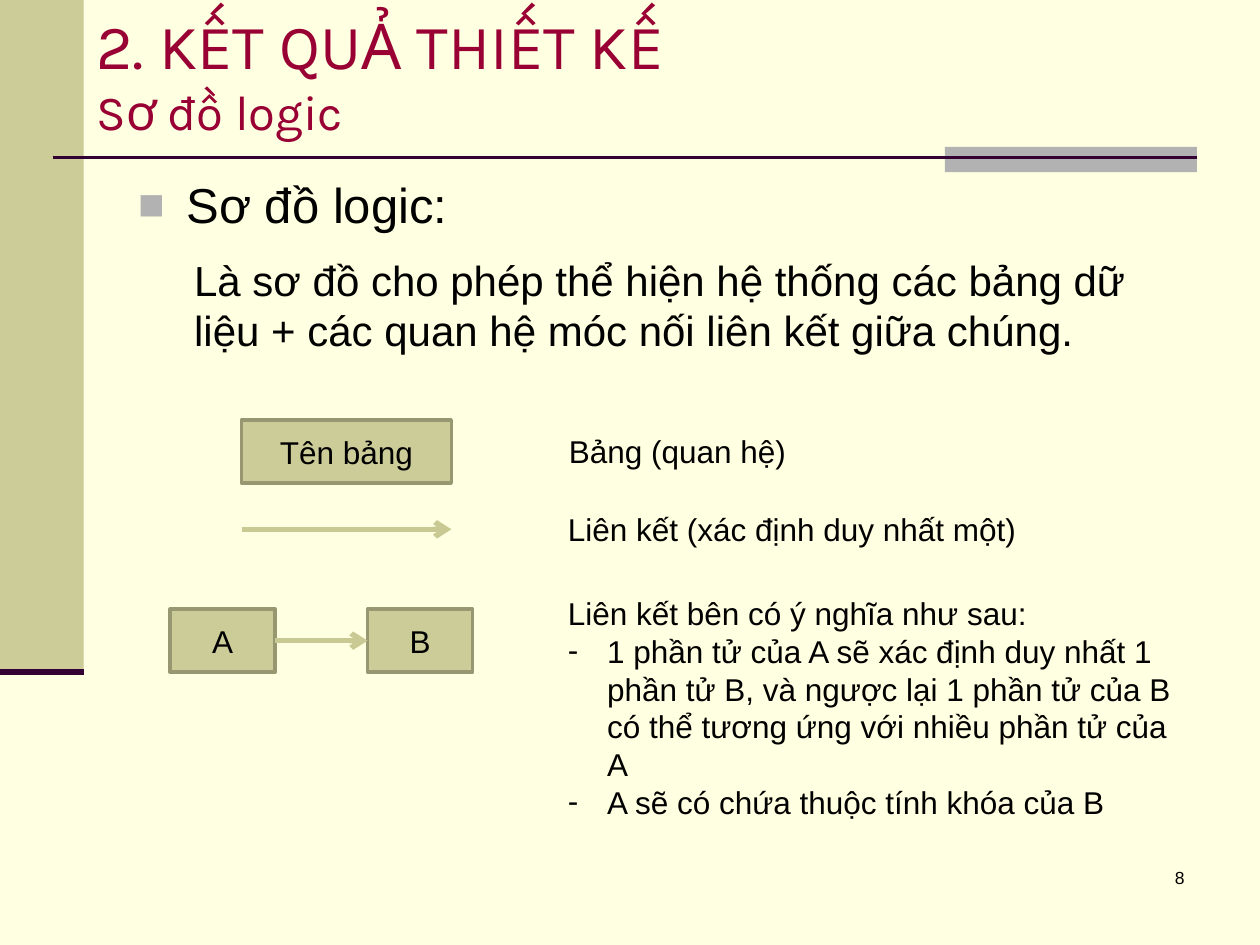
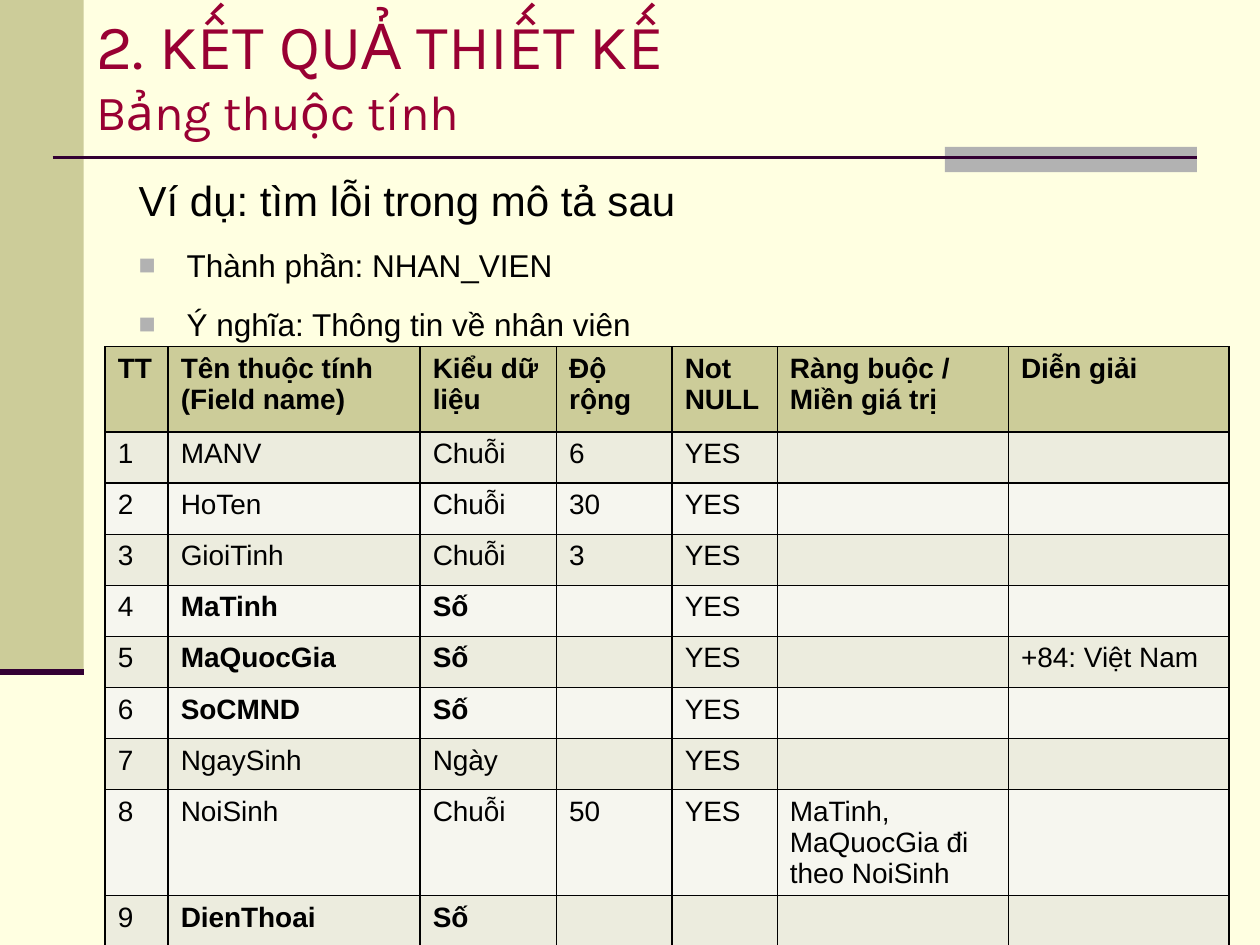
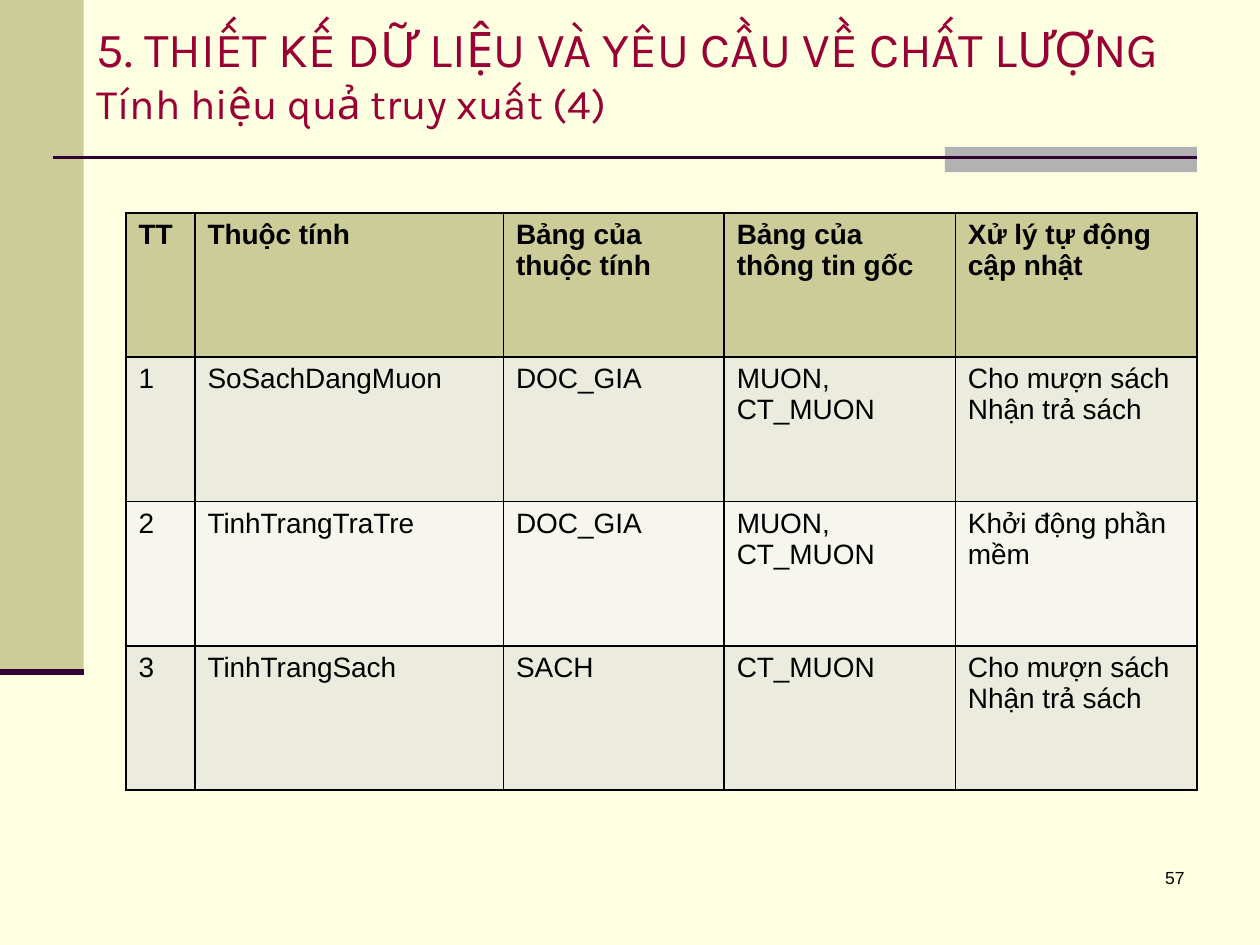
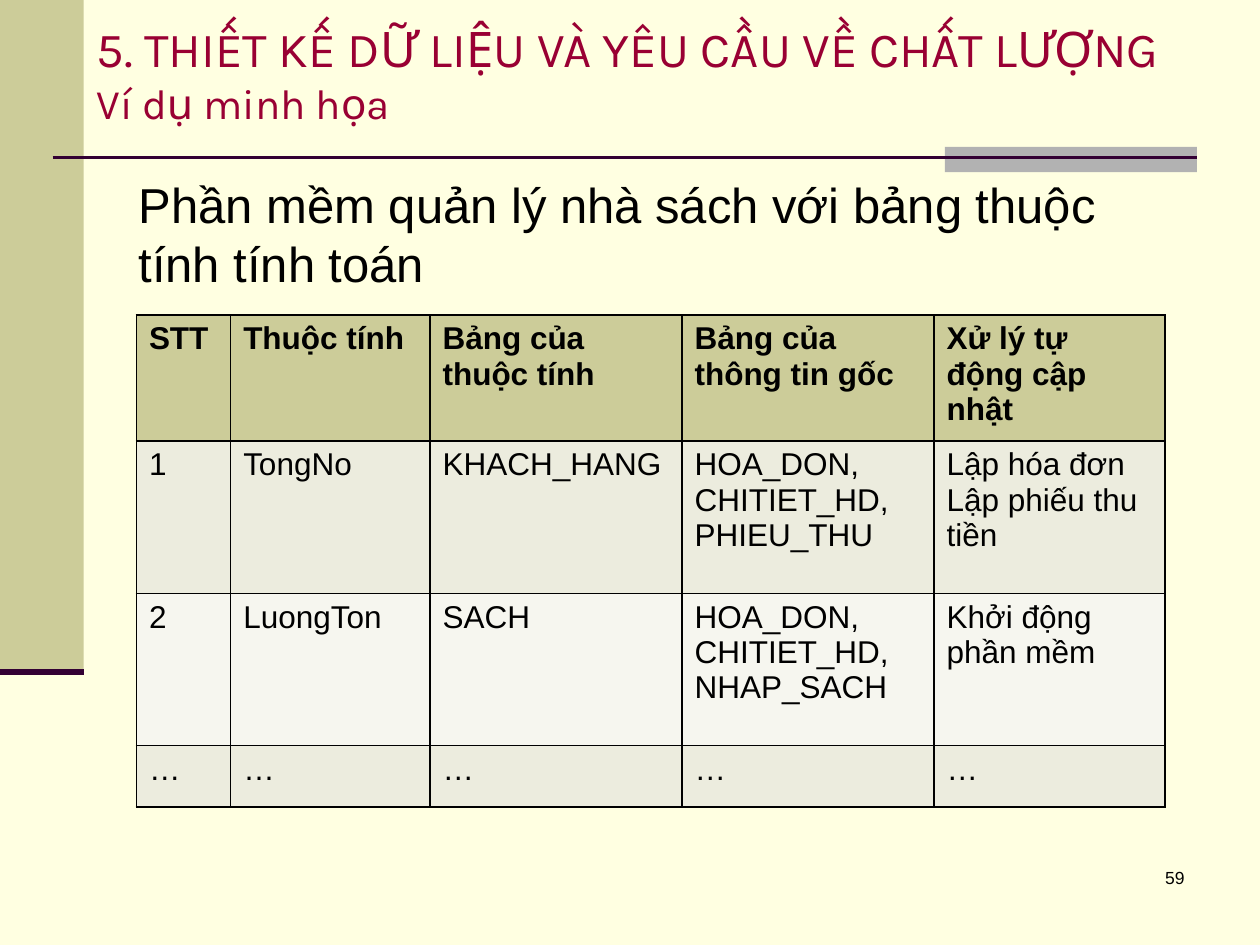
from dataclasses import dataclass
from typing import Optional

from lxml.etree import SubElement
from pptx import Presentation
from pptx.dml.color import RGBColor
from pptx.enum.shapes import MSO_CONNECTOR, MSO_SHAPE
from pptx.enum.text import MSO_ANCHOR as Anchor, MSO_AUTO_SIZE as AutoSize, PP_ALIGN as Align
from pptx.oxml.ns import qn
from pptx.util import Cm, Pt

CREAM = RGBColor(0xFF, 0xFF, 0xE1)
OLIVE = RGBColor(0xCC, 0xCC, 0x99)
OLIVE_EDGE = RGBColor(0x97, 0x97, 0x71)
OLIVE_ARROW = RGBColor(0xC9, 0xC9, 0x94)
ROW_ODD = RGBColor(0xEC, 0xEC, 0xDE)
ROW_EVEN = RGBColor(0xF6, 0xF6, 0xEF)
GREY = RGBColor(0xB2, 0xB2, 0xB2)
PLUM = RGBColor(0x33, 0x00, 0x33)
CRIMSON = RGBColor(0x99, 0x00, 0x33)
BLACK = RGBColor(0x00, 0x00, 0x00)

TITLE_FONT = "Karla"
TEXT_FONT = "Arial"
TITLE_AND_BODY, TITLE_ONLY = 1, 5


@dataclass(frozen=True)
class Area:
    left: float
    top: float
    width: float
    height: float

    def lengths(self) -> tuple:
        return Cm(self.left), Cm(self.top), Cm(self.width), Cm(self.height)


@dataclass(frozen=True)
class Bullet:
    symbol: str
    indent: float
    color: Optional[RGBColor] = None
    percent: int = 100


@dataclass(frozen=True)
class Item:
    text: str
    size: int
    bullet: Optional[Bullet] = None
    level: int = 0
    indent: float = 0


@dataclass(frozen=True)
class Heading:
    main: str
    sub: str
    main_size: int
    sub_size: int


@dataclass(frozen=True)
class Grid:
    left: float
    top: float
    columns: tuple
    heights: tuple
    size: int
    rows: tuple
    bold_rows: tuple = ()
    bold_columns: tuple = ()


SQUARE = Bullet("■", 0.97, GREY, 90)
DASH = Bullet("-", 0.79)

TITLE_AREA = Area(1.69, 0, 23.71, 2.96)
BODY_AREA = Area(2.54, 3.39, 21.59, 13.2)
NUMBER_AREA = Area(18.84, 17.36, 5.29, 1.27)

DESIGN = "2. KẾT QUẢ THIẾT KẾ"
QUALITY = "5. THIẾT KẾ DỮ LIỆU VÀ YÊU CẦU VỀ CHẤT LƯỢNG"

FIELD_GRID = Grid(
    2.12, 6.99,
    (1.27, 5.08, 2.75, 2.33, 2.12, 4.66, 4.45),
    (1.72,) + (1.02,) * 7 + (1.98, 1.02),
    16,
    (
        ("TT", "Tên thuộc tính (Field name)", "Kiểu dữ liệu", "Độ rộng", "Not NULL",
         "Ràng buộc / Miền giá trị", "Diễn giải"),
        ("1", "MANV", "Chuỗi", "6", "YES", "", ""),
        ("2", "HoTen", "Chuỗi", "30", "YES", "", ""),
        ("3", "GioiTinh", "Chuỗi", "3", "YES", "", ""),
        ("4", "MaTinh", "Số", "", "YES", "", ""),
        ("5", "MaQuocGia", "Số", "", "YES", "", "+84: Việt Nam"),
        ("6", "SoCMND", "Số", "", "YES", "", ""),
        ("7", "NgaySinh", "Ngày", "", "YES", "", ""),
        ("8", "NoiSinh", "Chuỗi", "50", "YES", "MaTinh, MaQuocGia đi theo NoiSinh", ""),
        ("9", "DienThoai", "Số", "", "", "", ""),
    ),
    bold_rows=(4, 5, 6, 9),
    bold_columns=(1, 2),
)

COMPUTED_HEADER = ("Thuộc tính", "Bảng của thuộc tính", "Bảng của thông tin gốc",
                   "Xử lý tự động cập nhật")

LIBRARY_GRID = Grid(
    2.54, 4.29,
    (1.39, 6.22, 4.45, 4.66, 4.87),
    (2.91,) * 4,
    16,
    (
        ("TT",) + COMPUTED_HEADER,
        ("1", "SoSachDangMuon", "DOC_GIA", "MUON, CT_MUON", "Cho mượn sách\nNhận trả sách"),
        ("2", "TinhTrangTraTre", "DOC_GIA", "MUON, CT_MUON", "Khởi động phần mềm"),
        ("3", "TinhTrangSach", "SACH", "CT_MUON", "Cho mượn sách\nNhận trả sách"),
    ),
)

BOOKSHOP_GRID = Grid(
    2.75, 6.35,
    (1.9, 4.02, 5.08, 5.08, 4.66),
    (2.16, 3.07, 3.07, 1.24),
    18,
    (
        ("STT",) + COMPUTED_HEADER,
        ("1", "TongNo", "KHACH_HANG", "HOA_DON, CHITIET_HD,\nPHIEU_THU",
         "Lập hóa đơn\nLập phiếu thu tiền"),
        ("2", "LuongTon", "SACH", "HOA_DON, CHITIET_HD, NHAP_SACH", "Khởi động phần mềm"),
        ("…",) * 5,
    ),
)


def add_span(para, text: str, size: int, color: RGBColor = BLACK,
             font: str = TEXT_FONT, bold: bool = False) -> None:
    span = para.add_run()
    span.text = text
    span.font.name = font
    span.font.size = Pt(size)
    span.font.bold = bold
    span.font.color.rgb = color


def set_bullet(para, bullet: Optional[Bullet], indent: float) -> None:
    properties = para._p.get_or_add_pPr()
    if bullet is None:
        properties.set("marL", str(Cm(indent)))
        properties.set("indent", "0")
        SubElement(properties, qn("a:buNone"))
        return
    properties.set("marL", str(Cm(bullet.indent)))
    properties.set("indent", str(-Cm(bullet.indent)))
    if bullet.color is not None:
        color = SubElement(properties, qn("a:buClr"))
        SubElement(color, qn("a:srgbClr"), val=str(bullet.color))
    SubElement(properties, qn("a:buSzPct"), val=str(bullet.percent * 1000))
    SubElement(properties, qn("a:buFont"), typeface=TEXT_FONT)
    SubElement(properties, qn("a:buChar"), char=bullet.symbol)


def write_items(frame, items: tuple, gap: int = 0) -> None:
    frame.word_wrap = True
    for index, item in enumerate(items):
        para = frame.add_paragraph() if index else frame.paragraphs[0]
        para.level = item.level
        para.space_before = Pt(gap if index else 0)
        para.space_after = Pt(gap)
        set_bullet(para, item.bullet, item.indent)
        add_span(para, item.text, item.size)


def place(shape, area: Area) -> None:
    shape.left, shape.top, shape.width, shape.height = area.lengths()


def add_slide(deck, layout: int, heading: Heading):
    page = deck.slides.add_slide(deck.slide_layouts[layout])
    title = page.shapes.title
    place(title, TITLE_AREA)
    frame = title.text_frame
    frame.auto_size = AutoSize.NONE
    frame.vertical_anchor = Anchor.MIDDLE
    para = frame.paragraphs[0]
    para.alignment = Align.LEFT
    add_span(para, heading.main, heading.main_size, CRIMSON, TITLE_FONT)
    para.add_line_break()
    line_break = title.element.xpath(".//a:br")[0]
    SubElement(line_break, qn("a:rPr"), sz=str(heading.main_size * 100))
    add_span(para, heading.sub, heading.sub_size, CRIMSON, TITLE_FONT)
    return page


def fill_body(page, *items: Item) -> None:
    body = page.placeholders[1]
    place(body, BODY_AREA)
    body.text_frame.auto_size = AutoSize.NONE
    body.text_frame.vertical_anchor = Anchor.TOP
    write_items(body.text_frame, items, gap=6)


def add_text(page, area: Area, *items: Item):
    box = page.shapes.add_textbox(*area.lengths())
    write_items(box.text_frame, items)
    return box


def add_number(page, number: int) -> None:
    box = add_text(page, NUMBER_AREA, Item(str(number), 10))
    box.text_frame.paragraphs[0].alignment = Align.RIGHT


def add_block(page, area: Area, fill: RGBColor):
    block = page.shapes.add_shape(MSO_SHAPE.RECTANGLE, *area.lengths())
    block.shadow.inherit = False
    block.fill.solid()
    block.fill.fore_color.rgb = fill
    block.line.fill.background()
    return block


def add_entity(page, area: Area, name: str):
    entity = add_block(page, area, OLIVE)
    entity.line.color.rgb = OLIVE_EDGE
    entity.line.width = Pt(2)
    frame = entity.text_frame
    frame.vertical_anchor = Anchor.MIDDLE
    frame.paragraphs[0].alignment = Align.CENTER
    add_span(frame.paragraphs[0], name, 18)
    return entity


def add_line(page, left: float, right: float, top: float, color: RGBColor, width: float):
    line = page.shapes.add_connector(
        MSO_CONNECTOR.STRAIGHT, Cm(left), Cm(top), Cm(right), Cm(top))
    line.line.color.rgb = color
    line.line.width = Pt(width)
    SubElement(line.element.spPr, qn("a:effectLst"))
    return line


def add_arrow(page, left: float, right: float, top: float):
    arrow = add_line(page, left, right, top, OLIVE_ARROW, 3)
    SubElement(arrow.line._get_or_add_ln(), qn("a:tailEnd"), type="arrow")
    return arrow


def decorate_master(deck, page) -> None:
    master = deck.slide_master
    master.background.fill.solid()
    master.background.fill.fore_color.rgb = CREAM
    decorations = (
        add_block(page, Area(0, 0, 1.69, 13.55), OLIVE),
        add_block(page, Area(19.05, 2.96, 5.08, 0.51), GREY),
        add_line(page, 1.06, 24.13, 3.17, PLUM, 1.5),
        add_line(page, 0, 1.69, 13.55, PLUM, 3.5),
    )
    for index, shape in enumerate(decorations):
        shape.element.xpath(".//p:cNvPr")[0].set("id", str(100 + index))
        master.shapes.element.insert(2 + index, shape.element)


def set_borders(cell) -> None:
    properties = cell._tc.get_or_add_tcPr()
    for side in ("lnL", "lnR", "lnT", "lnB"):
        border = SubElement(properties, qn(f"a:{side}"), w=str(Pt(1)))
        fill = SubElement(border, qn("a:solidFill"))
        SubElement(fill, qn("a:srgbClr"), val=str(BLACK))


def add_grid(page, grid: Grid) -> None:
    area = Area(grid.left, grid.top, sum(grid.columns), sum(grid.heights))
    table = page.shapes.add_table(
        len(grid.rows), len(grid.columns), *area.lengths()).table
    for column, width in zip(table.columns, grid.columns):
        column.width = Cm(width)
    for row, height in zip(table.rows, grid.heights):
        row.height = Cm(height)
    for row_index, texts in enumerate(grid.rows):
        band = ROW_ODD if row_index % 2 else ROW_EVEN
        for column_index, text in enumerate(texts):
            cell = table.cell(row_index, column_index)
            set_borders(cell)
            cell.fill.solid()
            cell.fill.fore_color.rgb = band if row_index else OLIVE
            bold = row_index == 0 or (
                row_index in grid.bold_rows and column_index in grid.bold_columns)
            frame = cell.text_frame
            for index, line in enumerate(text.split("\n") if text else ()):
                para = frame.add_paragraph() if index else frame.paragraphs[0]
                add_span(para, line, grid.size, bold=bold)


def build_logic_slide(deck):
    page = add_slide(deck, TITLE_AND_BODY, Heading(DESIGN, "Sơ đồ logic", 36, 28))
    fill_body(
        page,
        Item("Sơ đồ logic:", 28, SQUARE),
        Item("Là sơ đồ cho phép thể hiện hệ thống các bảng dữ liệu + các quan hệ "
             "móc nối liên kết giữa chúng.", 24, level=1, indent=1.12),
    )
    add_number(page, 8)
    add_entity(page, Area(4.87, 8.47, 4.23, 1.27), "Tên bảng")
    add_text(page, Area(11.22, 8.58, 12.7, 1.02), Item("Bảng (quan hệ)", 18))
    add_arrow(page, 4.87, 9.1, 10.67)
    add_text(page, Area(11.2, 10.16, 12.72, 1.02),
             Item("Liên kết (xác định duy nhất một)", 18))
    target = add_entity(page, Area(7.41, 12.28, 2.12, 1.27), "B")
    origin = add_entity(page, Area(3.43, 12.28, 2.12, 1.27), "A")
    link = add_arrow(page, 5.55, 7.41, 12.91)
    link.begin_connect(origin, 3)
    link.end_connect(target, 1)
    add_text(
        page, Area(11.2, 11.85, 12.93, 4.87),
        Item("Liên kết bên có ý nghĩa như sau:", 18),
        Item("1 phần tử của A sẽ xác định duy nhất 1 phần tử B, và ngược lại 1 phần tử "
             "của B có thể tương ứng với nhiều phần tử của A", 18, DASH),
        Item("A sẽ có chứa thuộc tính khóa của B", 18, DASH),
    )
    return page


def build_field_slide(deck) -> None:
    page = add_slide(deck, TITLE_AND_BODY, Heading(DESIGN, "Bảng thuộc tính", 36, 28))
    fill_body(
        page,
        Item("Ví dụ: tìm lỗi trong mô tả sau", 24),
        Item("Thành phần: NHAN_VIEN", 18, SQUARE),
        Item("Ý nghĩa: Thông tin về nhân viên", 18, SQUARE),
    )
    add_grid(page, FIELD_GRID)


def build_library_slide(deck) -> None:
    page = add_slide(deck, TITLE_ONLY, Heading(QUALITY, "Tính hiệu quả truy xuất (4)", 28, 24))
    add_grid(page, LIBRARY_GRID)
    add_number(page, 57)


def build_bookshop_slide(deck) -> None:
    page = add_slide(deck, TITLE_AND_BODY, Heading(QUALITY, "Ví dụ minh họa", 28, 24))
    fill_body(page, Item("Phần mềm quản lý nhà sách với bảng thuộc tính tính toán", 28))
    add_number(page, 59)
    add_grid(page, BOOKSHOP_GRID)


def main() -> None:
    deck = Presentation()
    deck.slide_width, deck.slide_height = Cm(25.4), Cm(19.05)
    first_page = build_logic_slide(deck)
    decorate_master(deck, first_page)
    build_field_slide(deck)
    build_library_slide(deck)
    build_bookshop_slide(deck)
    deck.save("out.pptx")


if __name__ == "__main__":
    main()
